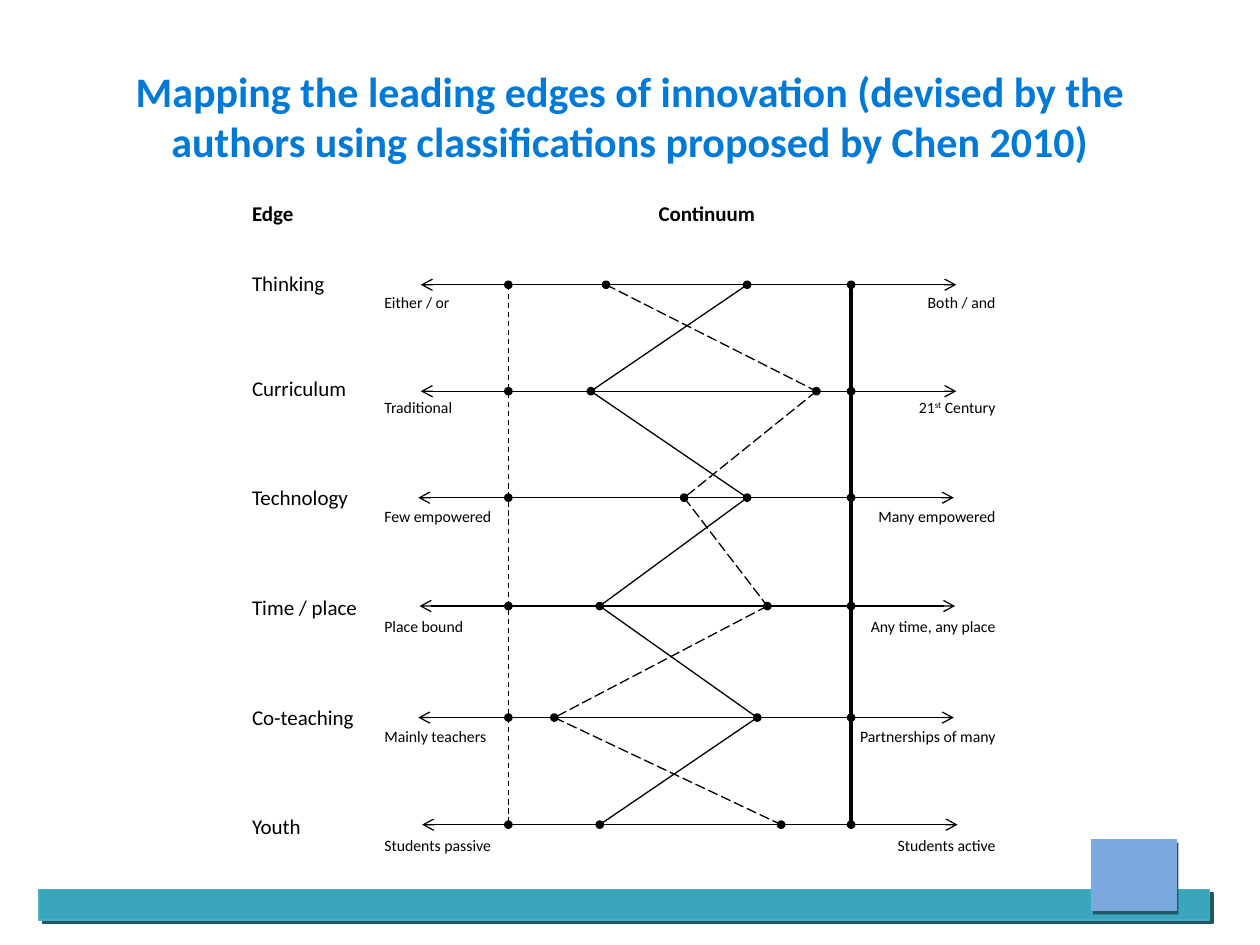
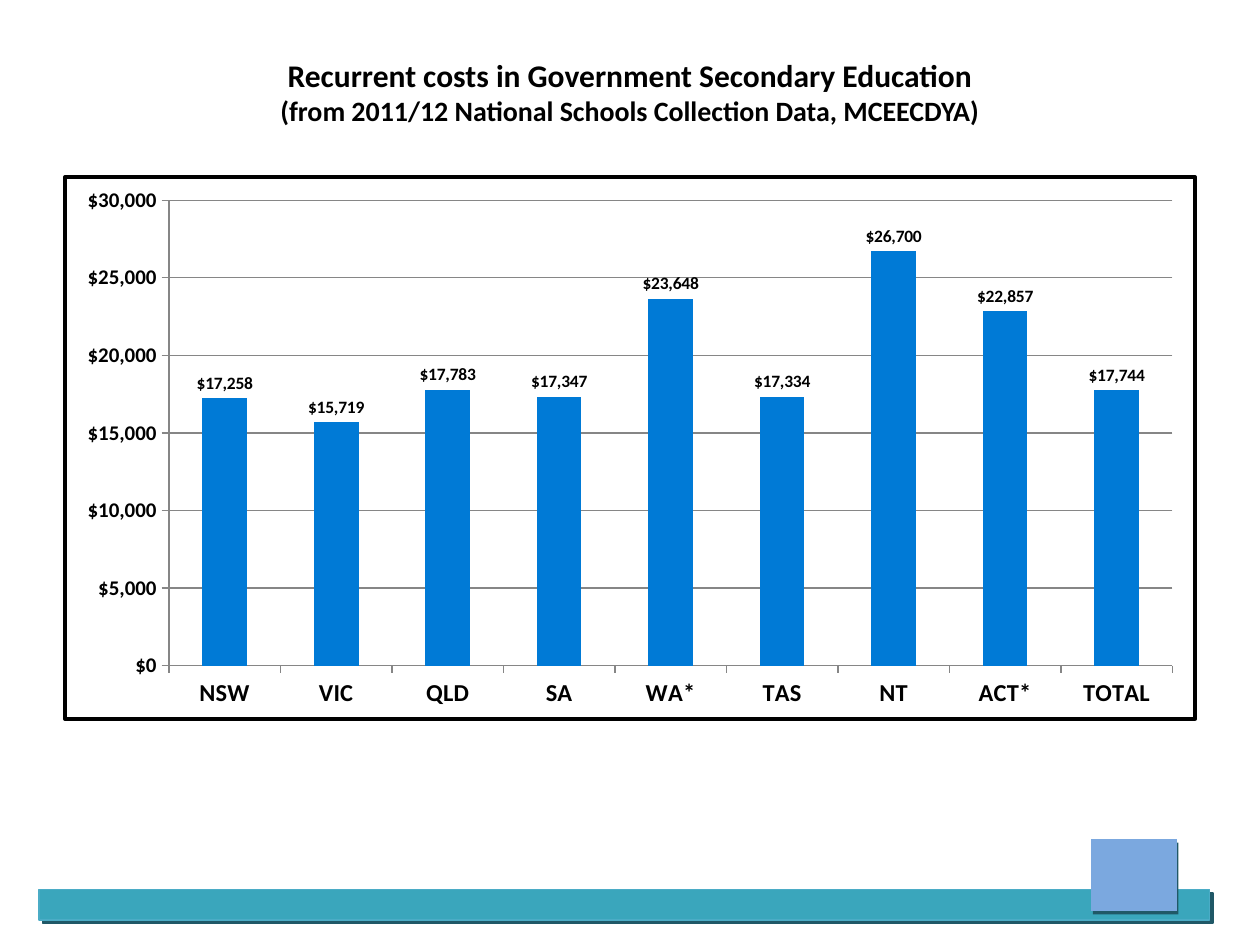
from itertools import pairwise

from lxml import etree
from pptx import Presentation
from pptx import util as u
from pptx.chart.data import CategoryChartData
from pptx.dml.color import RGBColor
from pptx.enum import chart as ch
from pptx.enum import dml, shapes, text
from pptx.oxml import parse_xml
from pptx.oxml.ns import nsdecls, qn

BLACK = RGBColor(0x00, 0x00, 0x00)
BLUE = RGBColor(0x00, 0x7A, 0xD6)
TEAL = RGBColor(0x3A, 0xA6, 0xBC)
AQUA = RGBColor(0x4B, 0xAC, 0xC6)
SKY = RGBColor(0x7B, 0xA8, 0xDF)
DEEP = RGBColor(0x20, 0x58, 0x67)
GREY = RGBColor(0x86, 0x86, 0x86)
FONT = "Calibri"
WIDE, HIGH = 10, 7.5
COLS, ROWS = 100, 75
DOT = 0.4
MONEY = '"$"#,##0'

EDGES = [
    ("Thinking", "Either / or", ["Both / and"]),
    ("Curriculum", "Traditional", ["21", "st", " Century"]),
    ("Technology", "Few empowered", ["Many empowered"]),
    ("Time / place", "Place bound", ["Any time, any place"]),
    ("Co-teaching", "Mainly teachers", ["Partnerships of many"]),
    ("Youth", "Students passive", ["Students active"]),
]
LEVELS = [22.6, 31.05, 39.5, 48.1, 56.95, 65.45]
STARTS = [33.4, 33.4, 33.2, 33.3, 33.2, 33.5]
SPAN = 42.5
LEFT, RIGHT = 40.35, 67.55
SOLID = [59.3, 46.9, 59.3, 47.6, 60.1, 47.6]
DASHED = [48.1, 64.8, 54.3, 60.9, 44, 62]

COSTS = {
    "NSW": 17258, "VIC": 15719, "QLD": 17783, "SA": 17347, "WA*": 23648,
    "TAS": 17334, "NT": 26700, "ACT*": 22857, "TOTAL": 17744,
}


class Deck:
    def __init__(self):
        self.prs = Presentation()
        self.prs.slide_width = u.Inches(WIDE)
        self.prs.slide_height = u.Inches(HIGH)
        self.slide = None

    def col(self, count):
        return round(self.prs.slide_width * count / COLS)

    def row(self, count):
        return round(self.prs.slide_height * count / ROWS)

    def box(self, x, y, w, h):
        return self.col(x), self.row(y), self.col(w), self.row(h)

    def style(self, font, size, bold=False, color=BLACK):
        font.name = FONT
        font.size = u.Pt(size)
        font.bold = bold
        font.color.rgb = color

    def run(self, para, words, size, bold=False, color=BLACK):
        run = para.add_run()
        run.text = words
        self.style(run.font, size, bold, color)
        return run

    def page(self, lines, height, color):
        self.slide = self.prs.slides.add_slide(self.prs.slide_layouts[5])
        self.shape("RECTANGLE", (3.1, 70.6, 92.9, 2.4), TEAL, AQUA, 1, (2.8, 45))
        self.shape("RECTANGLE", (86.6, 66.6, 6.8, 5.7), SKY, cast=(2.2, 63))
        title = self.slide.shapes.title
        title.left, title.top, title.width, title.height = self.box(5, 3, 90, height)
        frame = title.text_frame
        frame.word_wrap = True
        frame.auto_size = text.MSO_AUTO_SIZE.NONE
        frame.vertical_anchor = text.MSO_ANCHOR.MIDDLE
        para = frame.paragraphs[0]
        para.alignment = text.PP_ALIGN.CENTER
        for rank, (words, size) in enumerate(lines):
            if rank:
                para.add_line_break()
            self.run(para, words, size, True, color)

    def shape(self, kind, area, fill, edge=None, width=1, cast=None):
        item = self.slide.shapes.add_shape(shapes.MSO_SHAPE[kind], *self.box(*area))
        item.shadow.inherit = False
        item.fill.solid()
        item.fill.fore_color.rgb = fill
        if edge is None:
            item.line.fill.background()
        else:
            item.line.color.rgb = edge
            item.line.width = u.Pt(width)
        if cast:
            dist, angle = cast
            item.element.spPr.find(qn("a:effectLst")).append(parse_xml(
                f'<a:outerShdw {nsdecls("a")} blurRad="0" dist="{u.Pt(dist)}" '
                f'dir="{angle * 60000}" algn="ctr" rotWithShape="0">'
                f'<a:srgbClr val="{DEEP}"/></a:outerShdw>'))

    def dot(self, x, y):
        self.shape("OVAL", (x - DOT / 2, y - DOT / 2, DOT, DOT), BLACK, BLACK, 2)

    def line(self, start, end, width=0.75, dash=None, heads=False):
        (x1, y1), (x2, y2) = start, end
        item = self.slide.shapes.add_connector(
            shapes.MSO_CONNECTOR.STRAIGHT,
            self.col(x1), self.row(y1), self.col(x2), self.row(y2))
        item.line.color.rgb = BLACK
        item.line.width = u.Pt(width)
        if dash:
            item.line.dash_style = dash
        if heads:
            for tag in ("a:headEnd", "a:tailEnd"):
                etree.SubElement(item.get_or_add_ln(), qn(tag), type="arrow")
        etree.SubElement(item.element.spPr, qn("a:effectLst"))

    def trail(self, stops, dash=None):
        points = list(zip(stops, LEVELS))
        for start, end in pairwise(points):
            self.line(start, end, dash=dash)
        for point in points:
            self.dot(*point)

    def rule(self, x, width, dash=None):
        self.line((x, LEVELS[0]), (x, LEVELS[-1]), width, dash)
        for level in LEVELS:
            self.dot(x, level)

    def table(self, area, widths, heights):
        frame = self.slide.shapes.add_table(len(heights), len(widths), *self.box(*area))
        table = frame.table
        table.first_row = table.horz_banding = False
        for column, width in zip(table.columns, widths):
            column.width = self.col(width)
        for line, height in zip(table.rows, heights):
            line.height = self.row(height)
        for cell in table.iter_cells():
            cell.fill.background()
            cell.vertical_anchor = text.MSO_ANCHOR.MIDDLE
        return table

    def ends(self, cell, low, high):
        cell.margin_top = self.row(3.5)
        para = cell.text_frame.paragraphs[0]
        tabs = etree.SubElement(para._p.get_or_add_pPr(), qn("a:tabLst"))
        etree.SubElement(tabs, qn("a:tab"), pos=str(self.col(48.5)), algn="r")
        self.run(para, low + "\t", 9)
        for rank, words in enumerate(high):
            run = self.run(para, words, 9)
            if rank == 1:
                run.font._element.set("baseline", "30000")

    def axis(self, axis, size):
        self.style(axis.tick_labels.font, size, True)
        axis.format.line.color.rgb = GREY
        axis.major_tick_mark = ch.XL_TICK_MARK.OUTSIDE

    def chart(self, area, values):
        data = CategoryChartData(number_format=MONEY)
        data.categories = list(values)
        data.add_series("Series 1", list(values.values()))
        chart = self.slide.shapes.add_chart(
            ch.XL_CHART_TYPE.COLUMN_CLUSTERED, *self.box(*area), data).chart
        chart.has_legend = chart.has_title = False
        self.style(chart.font, 10)
        self.axis(chart.category_axis, 14)
        scale = chart.value_axis
        self.axis(scale, 12)
        scale.minimum_scale, scale.maximum_scale, scale.major_unit = 0, 30000, 5000
        scale.tick_labels.number_format = MONEY
        scale.tick_labels.number_format_is_linked = False
        scale.has_major_gridlines = True
        scale.major_gridlines.format.line.color.rgb = GREY
        plot = chart.plots[0]
        plot.vary_by_categories = False
        plot.gap_width = 150
        fill = plot.series[0].format.fill
        fill.solid()
        fill.fore_color.rgb = BLUE
        plot.has_data_labels = True
        labels = plot.data_labels
        labels.show_value = True
        labels.position = ch.XL_LABEL_POSITION.OUTSIDE_END
        labels.number_format = MONEY
        labels.number_format_is_linked = False
        self.style(labels.font, 10, True)
        chart.element.find(qn("c:chart")).addnext(parse_xml(
            f'<c:spPr {nsdecls("c", "a")}><a:noFill/><a:ln w="{u.Pt(2.25)}">'
            f'<a:solidFill><a:srgbClr val="{BLACK}"/></a:solidFill></a:ln></c:spPr>'))


def edges(deck):
    deck.page([("Mapping the leading edges of innovation (devised by the authors "
                "using classifications proposed by Chen 2010)", 24)], 12.4, BLUE)
    table = deck.table((19, 15.5, 63.7, 54.5), [10.5, 53.2], [3, 8] + [8.7] * 5)
    for index, words in enumerate(("Edge", "Continuum")):
        para = table.cell(0, index).text_frame.paragraphs[0]
        deck.run(para, words, 12, True)
    para.alignment = text.PP_ALIGN.CENTER
    for index, (name, low, high) in enumerate(EDGES, 1):
        deck.run(table.cell(index, 0).text_frame.paragraphs[0], name, 12)
        deck.ends(table.cell(index, 1), low, high)
    for start, level in zip(STARTS, LEVELS):
        deck.line((start, level), (start + SPAN, level), heads=True)
    deck.rule(LEFT, 0.75, dml.MSO_LINE.DASH)
    deck.rule(RIGHT, 2.25)
    deck.trail(SOLID)
    deck.trail(DASHED, dml.MSO_LINE.LONG_DASH)


def costs(deck):
    deck.page([("Recurrent costs in Government Secondary Education", 18),
               ("(from 2011/12 National Schools Collection Data, MCEECDYA)", 16)],
              8.5, BLACK)
    deck.chart((5, 13.9, 90, 43.3), COSTS)


def main():
    deck = Deck()
    edges(deck)
    costs(deck)
    deck.prs.save("out.pptx")


if __name__ == "__main__":
    main()
